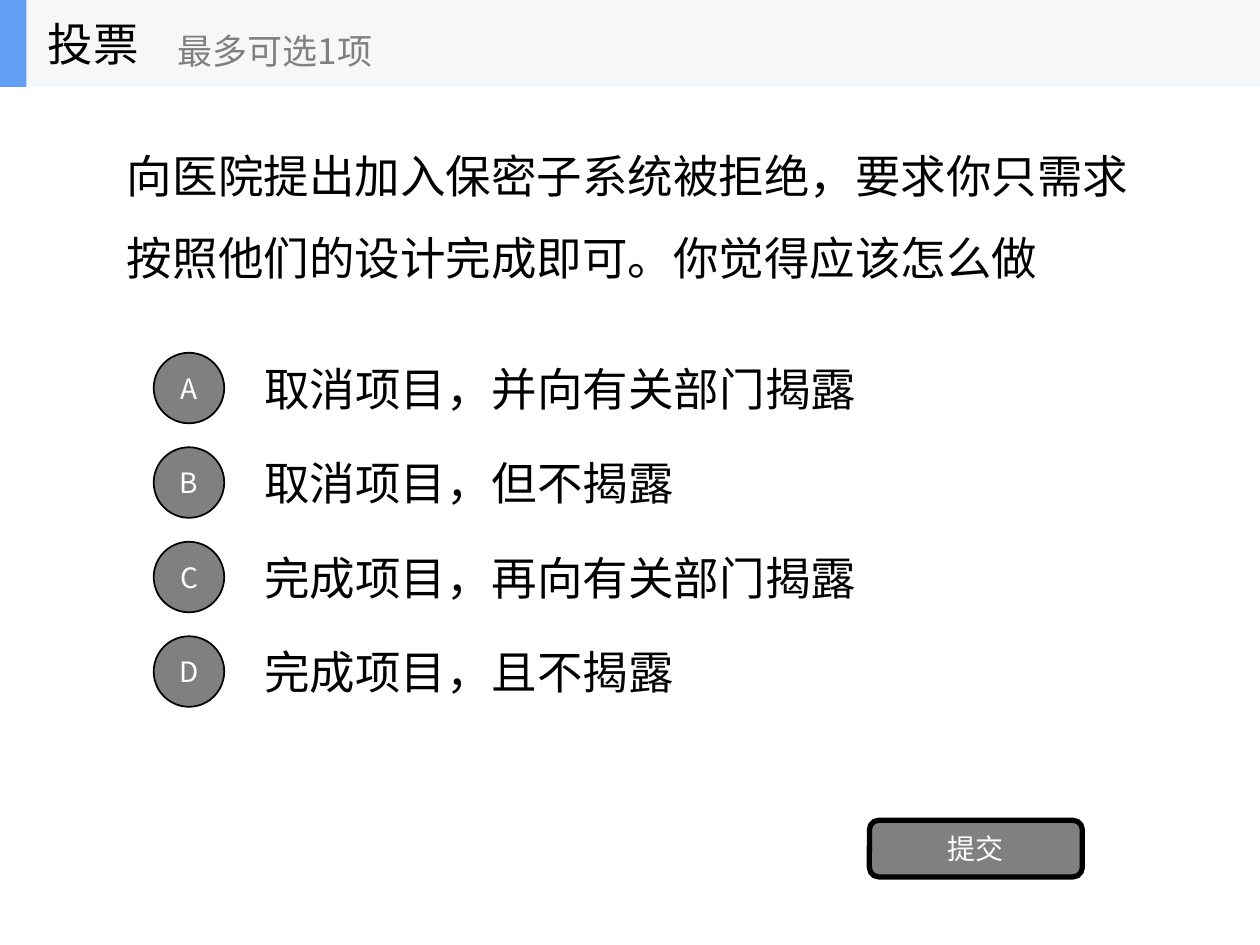
"""Build a single-choice poll slide with four options and a submit button."""
from lxml import etree
from pptx import Presentation
from pptx.dml.color import RGBColor
from pptx.enum.shapes import MSO_SHAPE
from pptx.enum.text import MSO_ANCHOR, PP_ALIGN
from pptx.oxml.ns import qn
from pptx.util import Inches, Pt

RECT, ROUNDED, OVAL = MSO_SHAPE.RECTANGLE, MSO_SHAPE.ROUNDED_RECTANGLE, MSO_SHAPE.OVAL
MIDDLE, LEFT, CENTER = MSO_ANCHOR.MIDDLE, PP_ALIGN.LEFT, PP_ALIGN.CENTER
FONT = "Noto Sans CJK SC"
COLORS = {"black": "000000", "white": "FFFFFF", "gray": "808080",
          "band": "F6F7F8", "accent": "639EF4"}
OPTIONS = ["取消项目，并向有关部门揭露", "取消项目，但不揭露",
           "完成项目，再向有关部门揭露", "完成项目，且不揭露"]
OPTION_TOP, OPTION_STEP = 2.73, 0.75


def rgb(name):
    """Return the named colour."""
    return RGBColor.from_string(COLORS[name])


def write(shape, text, size, color, align=LEFT, wrap=True, spacing=None):
    """Put one formatted paragraph into a shape."""
    tf = shape.text_frame
    for key, value in {"word_wrap": wrap, "vertical_anchor": MIDDLE}.items():
        setattr(tf, key, value)
    p = tf.paragraphs[0]
    for key, value in {"alignment": align, "line_spacing": spacing}.items():
        setattr(p, key, value)
    r = p.add_run()
    r.text = text
    for key, value in {"size": Pt(size), "name": FONT}.items():
        setattr(r.font, key, value)
    r.font.color.rgb = rgb(color)
    etree.SubElement(r._r.get_or_add_rPr(), qn("a:ea"), typeface=FONT)


def add_text(shapes, box, text, size=26, color="black", **layout):
    """Add a text box."""
    tb = shapes.add_textbox(*map(Inches, box))
    write(tb, text, size, color, **layout)


def add_block(shapes, kind, box, fill, line_width=None):
    """Add a filled shape, outlined in black if a line width is given."""
    sp = shapes.add_shape(kind, *map(Inches, box))
    sp.shadow.inherit = False
    sp.fill.solid()
    sp.fill.fore_color.rgb = rgb(fill)
    if line_width:
        sp.line.color.rgb = rgb("black")
        sp.line.width = Pt(line_width)
    else:
        sp.line.fill.background()
    return sp


def add_button(shapes, kind, box, text, line_width):
    """Add a gray button with a centred white label."""
    sp = add_block(shapes, kind, box, "gray", line_width)
    write(sp, text, 16, "white", align=CENTER)


def add_header(s):
    """Add the grouped title band."""
    shapes = s.shapes.add_group_shape().shapes
    add_block(shapes, RECT, (0, 0, 10, 0.69), "band")
    add_block(shapes, RECT, (0, 0, 0.21, 0.69), "accent")
    add_text(shapes, (0.28, 0, 2.08, 0.69), "投票", wrap=False)
    add_text(shapes, (1.31, 0.12, 2.5, 0.56), "最多可选1项", 20, "gray", wrap=False)


def add_options(s):
    """Add the lettered options at an equal pitch."""
    for i, (letter, text) in enumerate(zip("ABCD", OPTIONS)):
        top = OPTION_TOP + i * OPTION_STEP
        add_text(s.shapes, (2, top, 7.33, 0.7), text)
        add_button(s.shapes, OVAL, (1.22, top + 0.07, 0.56, 0.56), letter, 1)


def main():
    """Build and save the slide."""
    prs = Presentation()
    prs.slide_width, prs.slide_height = Inches(10), Inches(7.5)
    s = prs.slides.add_slide(prs.slide_layouts[6])
    add_text(s.shapes, (0.91, 0.99, 8.33, 1.24),
             "向医院提出加入保密子系统被拒绝，要求你只需求按照他们的设计完成即可。你觉得应该怎么做",
             spacing=1.5)
    add_options(s)
    add_button(s.shapes, ROUNDED, (6.9, 6.51, 1.69, 0.45), "提交", 3)
    add_header(s)
    prs.save("out.pptx")


if __name__ == "__main__":
    main()
